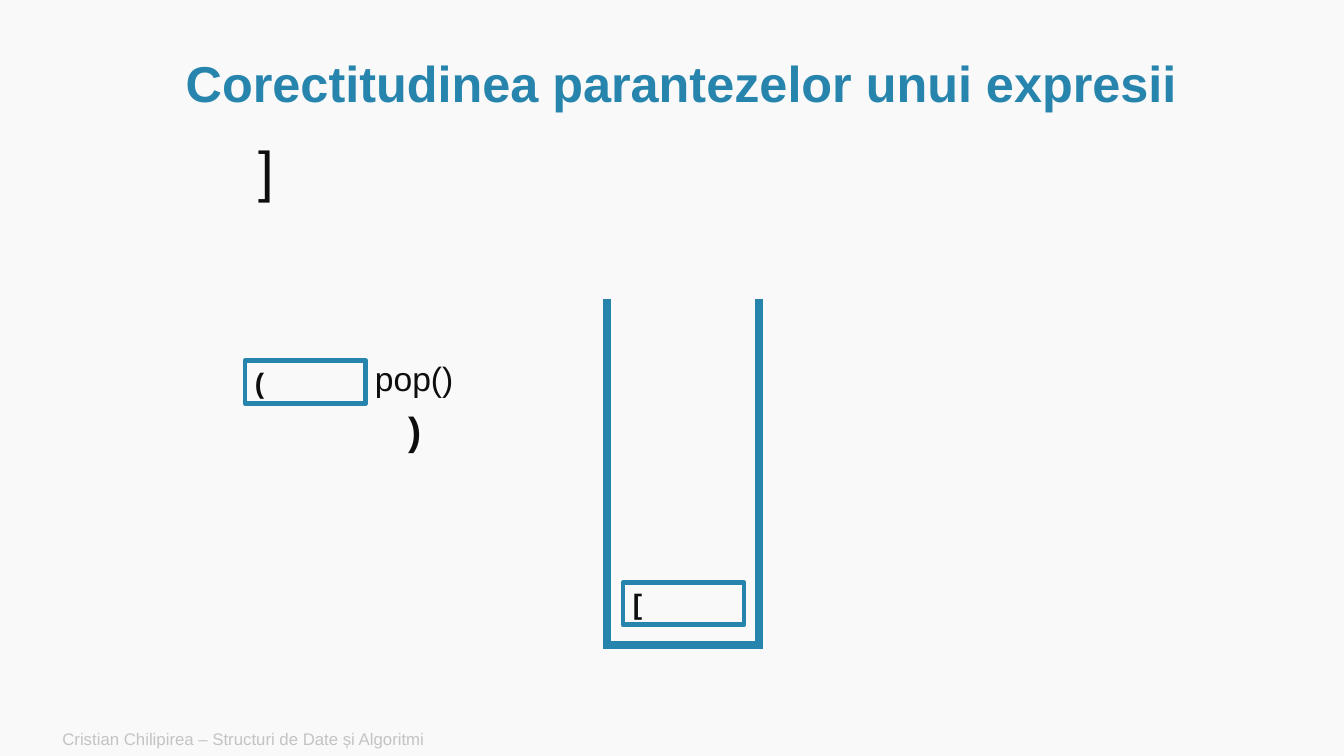
from dataclasses import dataclass

from lxml import etree
from pptx import Presentation, util as u
from pptx.dml.color import RGBColor
from pptx.enum import shapes, text
from pptx.oxml.ns import qn


@dataclass(frozen=True)
class Theme:
    font: str = "Arial"
    back: str = "F9F9F9"
    accent: str = "2785AD"
    ink: str = "0E0E0E"
    muted: str = "C3C3C3"
    title: int = 36
    symbol: int = 40
    match: int = 28
    call: int = 24
    item: int = 20
    footer: int = 12
    wall: float = 5.5
    border: float = 3.5


T = Theme()
W, H = 13.33, 7.5

# Content: text, (left, top, width, height), size, colour, bold
TITLE = ("Corectitudinea parantezelor unui expresii", (1.01, 0.51, 11.5, 0.69), T.title, T.accent, True)
FOOTER = ("Cristian Chilipirea – Structuri de Date și Algoritmi", (0.52, 7.16, 8.4, 0.34), T.footer, T.muted, False)
LABELS = [
    ("]", (2.47, 1.3, 0.36, 0.77), T.symbol, T.ink, False),
    ("pop()", (3.62, 3.5, 0.99, 0.5), T.call, T.ink, False),
    (")", (3.95, 3.98, 0.33, 0.57), T.match, T.ink, True),
]
ITEM_W, ITEM_H = 1.2, 0.42
ITEMS = [("[", 6.18, 5.78), ("(", 2.43, 3.58)]

# Stack container: two walls and a base that covers the wall ends
LEFT, RIGHT, TOP, BASE = 6.02, 7.53, 2.97, 6.4
OVERLAP = 0.04
WALLS = [
    (LEFT, TOP, LEFT, BASE),
    (LEFT - OVERLAP, BASE, RIGHT + OVERLAP, BASE),
    (RIGHT, TOP, RIGHT, BASE),
]


def rgb(code):
    return RGBColor.from_string(code)


def write(sp, words, size, colour, bold, wrap=False, middle=False, centre=False):
    tf = sp.text_frame
    tf.word_wrap = wrap
    tf.vertical_anchor = text.MSO_ANCHOR.MIDDLE if middle else text.MSO_ANCHOR.TOP
    p = tf.paragraphs[0]
    p.text = words
    p.alignment = text.PP_ALIGN.CENTER if centre else text.PP_ALIGN.LEFT
    p.font.name, p.font.size, p.font.bold = T.font, u.Pt(size), bold
    p.font.color.rgb = rgb(colour)
    return p


def add_text(s, words, box, size, colour, bold, **layout):
    sp = s.shapes.add_textbox(*map(u.Inches, box))
    return write(sp, words, size, colour, bold, **layout)


def add_wall(s, ends):
    line = s.shapes.add_connector(shapes.MSO_CONNECTOR.STRAIGHT, *map(u.Inches, ends))
    line.line.color.rgb = rgb(T.accent)
    line.line.width = u.Pt(T.wall)
    etree.SubElement(line._element.spPr, qn("a:effectLst"))


def add_item(s, words, left, top):
    box = map(u.Inches, (left, top, ITEM_W, ITEM_H))
    sp = s.shapes.add_shape(shapes.MSO_SHAPE.RECTANGLE, *box)
    sp.shadow.inherit = False
    sp.fill.background()
    sp.line.color.rgb = rgb(T.accent)
    sp.line.width = u.Pt(T.border)
    write(sp, words, T.item, T.ink, True, middle=True)


def main():
    prs = Presentation()
    prs.slide_width, prs.slide_height = u.Inches(W), u.Inches(H)
    s = prs.slides.add_slide(prs.slide_layouts[6])
    s.background.fill.solid()
    s.background.fill.fore_color.rgb = rgb(T.back)

    # Heading
    add_text(s, *TITLE, wrap=True, middle=True, centre=True).line_spacing = 0.9

    # Stack, its items and the labels
    for ends in WALLS:
        add_wall(s, ends)
    for item in ITEMS:
        add_item(s, *item)
    for label in LABELS:
        add_text(s, *label)

    # Footer
    add_text(s, *FOOTER, wrap=True, middle=True)
    prs.save("out.pptx")


if __name__ == "__main__":
    main()
